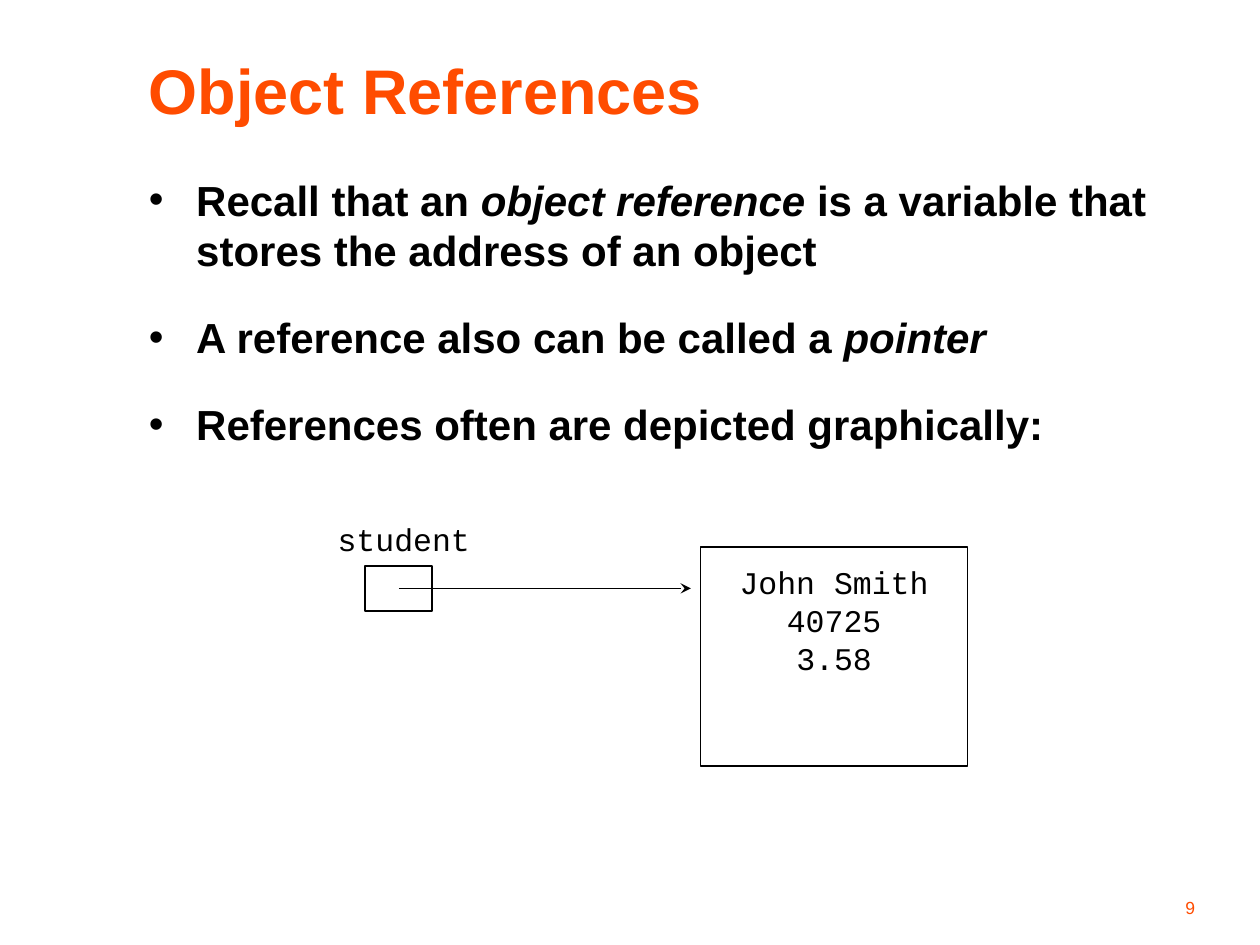
"""Build the Object References slide."""
from pptx import Presentation
from pptx.dml.color import RGBColor
from pptx.enum import shapes as kinds, text as enums
from pptx.oxml.ns import qn
from pptx.util import Pt
from lxml import etree

BLACK = RGBColor(0x00, 0x00, 0x00)
ORANGE = RGBColor(0xFF, 0x4C, 0x00)
SANS, MONO = "Arial", "Courier New"
LEFT = enums.PP_ALIGN.LEFT
CENTER = enums.PP_ALIGN.CENTER
RIGHT = enums.PP_ALIGN.RIGHT
TOP = enums.MSO_ANCHOR.TOP
MIDDLE = enums.MSO_ANCHOR.MIDDLE
BOTTOM = enums.MSO_ANCHOR.BOTTOM

TITLE = [[("Object References", False)]]
POINTS = [
    [("Recall that an ", False), ("object reference", True),
     (" is a variable that stores the address of an object", False)],
    [("A reference also can be called a ", False), ("pointer", True)],
    [("References often are depicted graphically:", False)],
]
NAME = [[("student", False)]]
FIELDS = [[(item, False)] for item in ("John Smith", "40725", "3.58")]
NUMBER = [[("9", False)]]

VAR = (208.8, 323.3, 38.2, 25.9)
OBJECT = (400.3, 312.5, 152.6, 125.3)
GAP = 5.5
INDENT = 27


def write(shape, paras, font, size, color, bold=False, align=LEFT,
          anchor=TOP, wrap=True):
    frame = shape.text_frame
    frame.word_wrap = wrap
    frame.vertical_anchor = anchor
    for i, parts in enumerate(paras):
        para = frame.paragraphs[0] if i == 0 else frame.add_paragraph()
        para.alignment = align
        for words, slant in parts:
            run = para.add_run()
            run.text = words
            face = run.font
            face.name, face.size = font, Pt(size)
            face.bold, face.italic = bold, slant
            face.color.rgb = color
    return frame


def label(slide, area, *args, **opts):
    return write(slide.shapes.add_textbox(*map(Pt, area)), *args, **opts)


def box(slide, area):
    rect = slide.shapes.add_shape(
        kinds.MSO_SHAPE.RECTANGLE, *map(Pt, area))
    rect.shadow.inherit = False
    rect.fill.background()
    rect.line.color.rgb = BLACK
    rect.line.width = Pt(1)
    return rect


def bullet(para):
    para.space_before = Pt(21)
    props = para._p.get_or_add_pPr()
    props.set("marL", str(Pt(INDENT)))
    props.set("indent", str(-Pt(INDENT)))
    tint = etree.SubElement(props, qn("a:buClr"))
    etree.SubElement(tint, qn("a:srgbClr"), val=str(BLACK))
    etree.SubElement(props, qn("a:buFont"), typeface=SANS)
    etree.SubElement(props, qn("a:buChar"), char="•")


def arrow(slide, start, end):
    link = slide.shapes.add_connector(
        kinds.MSO_CONNECTOR.STRAIGHT, *map(Pt, start + end))
    link.line.color.rgb = BLACK
    link.line.width = Pt(1)
    etree.SubElement(link.line._get_or_add_ln(), qn("a:tailEnd"),
                     type="stealth")
    etree.SubElement(link._element.spPr, qn("a:effectLst"))


def main():
    deck = Presentation()
    deck.slide_width, deck.slide_height = Pt(720), Pt(540)
    slide = deck.slides.add_slide(deck.slide_layouts[6])

    label(slide, (78, 24, 624, 54), TITLE, SANS, 36, ORANGE,
          bold=True, anchor=MIDDLE)
    body = label(slide, (78, 96, 624, 390), POINTS, SANS, 24, BLACK,
                 bold=True)
    for para in body.paragraphs:
        bullet(para)

    box(slide, VAR)
    label(slide, (185.8, 293.8, 90, 28.8), NAME, MONO, 18, BLACK, wrap=False)
    frame = write(box(slide, OBJECT), FIELDS, MONO, 18, BLACK,
                  align=CENTER, wrap=False)
    frame.margin_top = Pt(9.5)

    left, top, width, height = VAR
    mid = top + height / 2
    arrow(slide, (left + width / 2, mid), (OBJECT[0] - GAP, mid))

    label(slide, (540, 498, 150, 30), NUMBER, SANS, 10, ORANGE,
          align=RIGHT, anchor=BOTTOM)
    deck.save("out.pptx")


if __name__ == "__main__":
    main()
